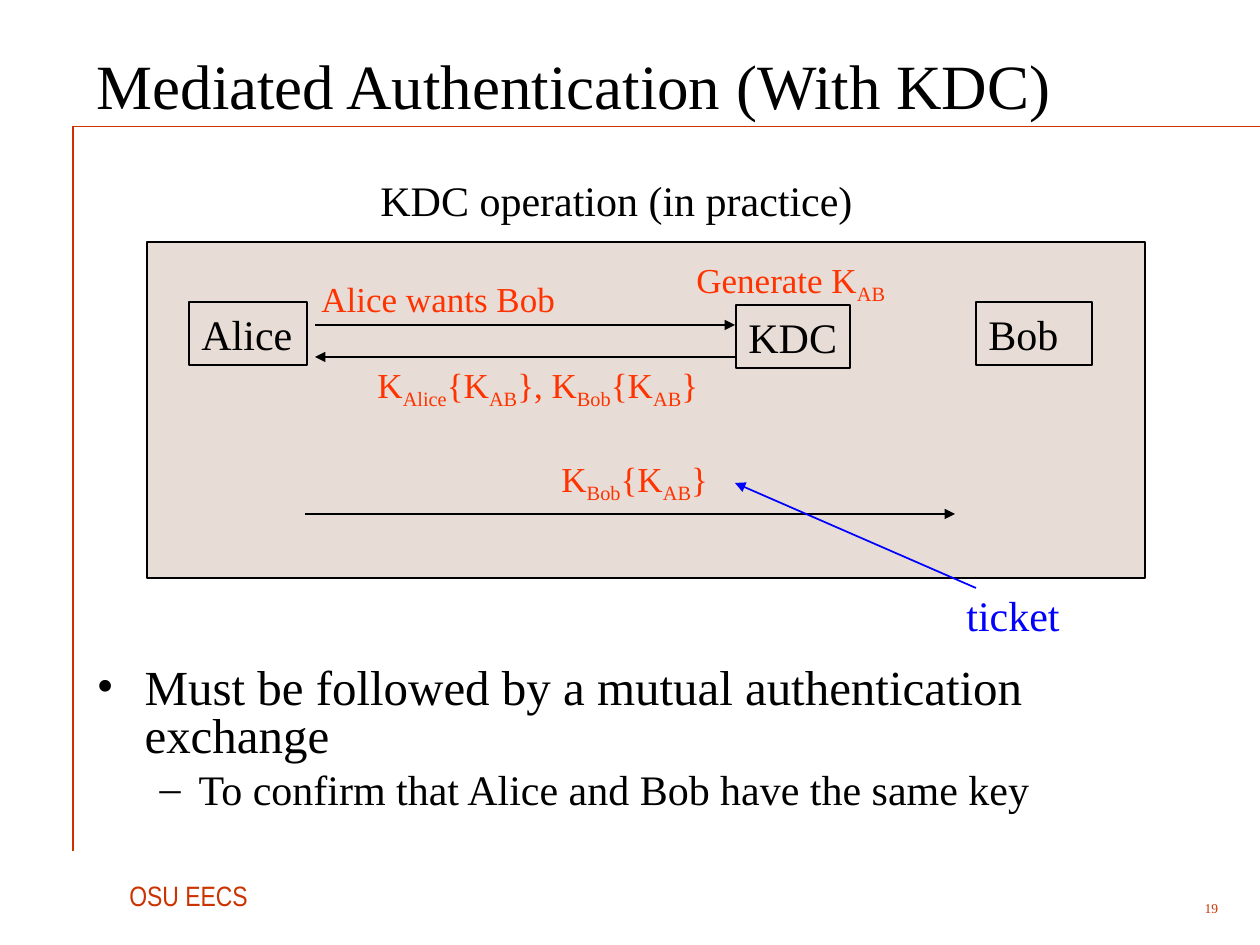
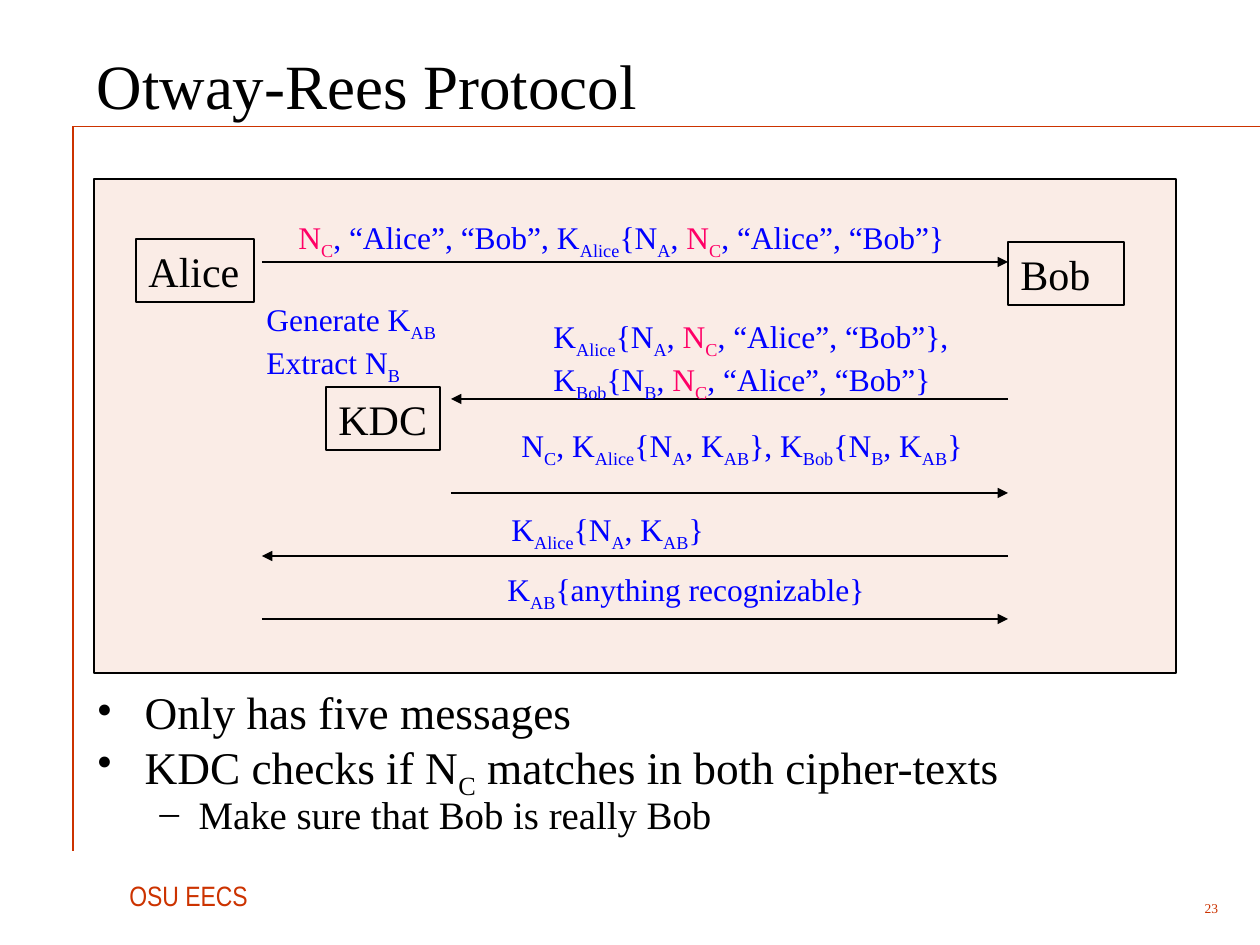
from lxml import etree
from pptx import Presentation
from pptx import util as u
from pptx.dml.color import RGBColor
from pptx.enum import shapes, text
from pptx.oxml import ns

BLACK = RGBColor(0x00, 0x00, 0x00)
BLUE = RGBColor(0x00, 0x00, 0xFF)
PINK = RGBColor(0xFF, 0x00, 0x66)
RED = RGBColor(0xFF, 0x33, 0x00)
RUST = RGBColor(0xCC, 0x33, 0x00)
SAND = RGBColor(0xE8, 0xDC, 0xD6)
ROSE = RGBColor(0xFA, 0xEC, 0xE6)
SERIF = "Times New Roman"
NARROW = "Arial Narrow"
SCALE = u.Inches(1) / 126


def px(*nums):
    return [u.Emu(round(n * SCALE)) for n in nums]


def sub(parent, tag, **attrs):
    return etree.SubElement(parent, ns.qn(tag), attrs)


class Deck:
    def __init__(self):
        self.prs = Presentation()
        self.prs.slide_width, self.prs.slide_height = px(1260, 945)
        self.slide = None

    def page(self, title, num):
        """Start a slide with its title, rules and footer."""
        self.slide = self.prs.slides.add_slide(self.prs.slide_layouts[1])
        self.line(73, 126, 1260, 126, RUST, 0.25, False)
        self.line(73, 126, 73, 851, RUST, 0.75, False)
        self.label("OSU EECS", 117, 872, 150, 47, 16, RUST, NARROW)
        foot = self.label(num, 1113, 892, 105, 32, 7.7, RUST)
        foot.text_frame.vertical_anchor = text.MSO_ANCHOR.MIDDLE
        foot.text_frame.paragraphs[0].alignment = text.PP_ALIGN.RIGHT
        head = self.slide.shapes.title
        self.place(head, 84, 21, 1135, 126)
        head.text_frame.vertical_anchor = text.MSO_ANCHOR.MIDDLE
        para = head.text_frame.paragraphs[0]
        para.alignment = text.PP_ALIGN.LEFT
        self.runs(para, title, 36, BLACK)

    def place(self, shape, x, y, w, h):
        shape.left, shape.top, shape.width, shape.height = px(x, y, w, h)
        shape.text_frame.auto_size = text.MSO_AUTO_SIZE.NONE

    def runs(self, para, words, size, color, font=SERIF):
        """Add runs: ~x~ is a subscript, *x* is marked in pink."""
        for i, part in enumerate(words.split("*")):
            for j, bit in enumerate(part.split("~")):
                if not bit:
                    continue
                run = para.add_run()
                run.text = bit
                run.font.size = u.Pt(size)
                run.font.name = font
                run.font.color.rgb = PINK if i % 2 else color
                if j % 2:
                    run.font._element.set("baseline", "-25000")

    def fill(self, shape, words, size, color, font=SERIF):
        """Write left-aligned lines from the top of a shape."""
        frame = shape.text_frame
        frame.word_wrap = True
        frame.margin_right = 0
        frame.vertical_anchor = text.MSO_ANCHOR.TOP
        for i, row in enumerate(words.split("\n")):
            para = frame.add_paragraph() if i else frame.paragraphs[0]
            para.alignment = text.PP_ALIGN.LEFT
            self.runs(para, row, size, color, font)

    def label(self, words, x, y, w, h, size, color, font=SERIF):
        box = self.slide.shapes.add_textbox(*px(x, y, w, h))
        self.fill(box, words, size, color, font)
        return box

    def rect(self, x, y, w, h, back=None):
        shape = self.slide.shapes.add_shape(
            shapes.MSO_SHAPE.RECTANGLE, *px(x, y, w, h))
        shape.shadow.inherit = False
        if back is None:
            shape.fill.background()
        else:
            shape.fill.solid()
            shape.fill.fore_color.rgb = back
        shape.line.color.rgb = BLACK
        shape.line.width = u.Pt(1)
        return shape

    def party(self, name, x, y, w):
        self.fill(self.rect(x, y, w, 63), name, 24, BLACK)

    def line(self, x1, y1, x2, y2, color=BLACK, width=1, arrow=True):
        link = self.slide.shapes.add_connector(
            shapes.MSO_CONNECTOR.STRAIGHT, *px(x1, y1, x2, y2))
        link.line.color.rgb = color
        link.line.width = u.Pt(width)
        if arrow:
            sub(link.line._get_or_add_ln(), "a:tailEnd", type="triangle")
        sub(link._element.spPr, "a:effectLst")

    def list(self, y, h, gap, sizes, items):
        """Fill the body with (level, words) items."""
        body = self.slide.placeholders[1]
        self.place(body, 84, y, 1138, h)
        marks = [("•", 48, 48, 7), ("–", 102, 39, 6)]
        for i, (level, words) in enumerate(items):
            frame = body.text_frame
            para = frame.add_paragraph() if i else frame.paragraphs[0]
            mark, left, hang, before = marks[level]
            para.level = level
            para.line_spacing = gap
            para.space_before = u.Pt(before)
            props = para._p.get_or_add_pPr()
            props.set("marL", str(px(left)[0]))
            props.set("indent", str(px(-hang)[0]))
            sub(sub(props, "a:buClr"), "a:srgbClr", val=str(BLACK))
            sub(props, "a:buFont", typeface=SERIF)
            sub(props, "a:buChar", char=mark)
            self.runs(para, words, sizes[level], BLACK)


def mediated(deck):
    deck.page("Mediated Authentication (With KDC)", "19")
    deck.list(662, 168, 0.8, (28, 24), [
        (0, "Must be followed by a mutual authentication exchange"),
        (1, "To confirm that Alice and Bob have the same key")])
    deck.label("KDC operation (in practice)", 368, 168, 498, 63, 24, BLACK)
    deck.rect(147, 242, 998, 336, SAND)
    for name, x, y, w in [("Alice", 189, 302, 118), ("Bob", 976, 302, 116),
                          ("KDC", 736, 305, 114)]:
        deck.party(name, x, y, w)
    for ends in [(315, 325, 735, 325), (735, 357, 315, 357),
                 (305, 514, 955, 514)]:
        deck.line(*ends)
    for words, x, y, w in [
            ("Generate K~AB~", 684, 252, 214),
            ("Alice wants Bob", 309, 271, 258),
            ("K~Bob~{K~AB~}", 549, 451, 171),
            ("K~Alice~{K~AB~}, K~Bob~{K~AB~}", 365, 357, 345)]:
        deck.label(words, x, y, w, 60, 20, RED)
    deck.label("ticket", 954, 583, 118, 63, 24, BLUE)
    deck.line(976, 588, 735, 483, BLUE)


def otway(deck):
    deck.page("Otway-Rees Protocol", "23")
    deck.list(693, 158, 0.7, (25.9, 22.2), [
        (0, "Only has five messages"),
        (0, "KDC checks if N~C~ matches in both cipher-texts"),
        (1, "Make sure that Bob is really Bob")])
    deck.rect(94, 179, 1082, 494, ROSE)
    for name, x, y, w in [("Alice", 136, 239, 118), ("Bob", 1008, 242, 116),
                          ("KDC", 326, 387, 114)]:
        deck.party(name, x, y, w)
    alice, kdc, bob = 262, 451, 1008
    for start, end, y in [(alice, bob, 262), (bob, kdc, 399), (kdc, bob, 493),
                          (bob, alice, 556), (alice, bob, 619)]:
        deck.line(start, y, end, y)
    names = ", “Alice”, “Bob”"
    for words, x, y, w, h in [
            ("Generate K~AB~\nExtract N~B~", 254, 294, 194, 98),
            (f"*N~C~*{names}, K~Alice~{{N~A~, *N~C~*{names}}}",
             286, 212, 733, 55),
            ("N~C~, K~Alice~{N~A~, K~AB~}, K~Bob~{N~B~, K~AB~}",
             509, 420, 466, 55),
            (f"K~Alice~{{N~A~, *N~C~*{names}}},\n"
             f"K~Bob~{{N~B~, *N~C~*{names}}}", 541, 311, 421, 98),
            ("K~Alice~{N~A~, K~AB~}", 499, 504, 217, 55),
            ("K~AB~{anything recognizable}", 495, 564, 382, 55)]:
        deck.label(words, x, y, w, h, 18, BLUE)


def main():
    deck = Deck()
    mediated(deck)
    otway(deck)
    deck.prs.save("out.pptx")


if __name__ == "__main__":
    main()
